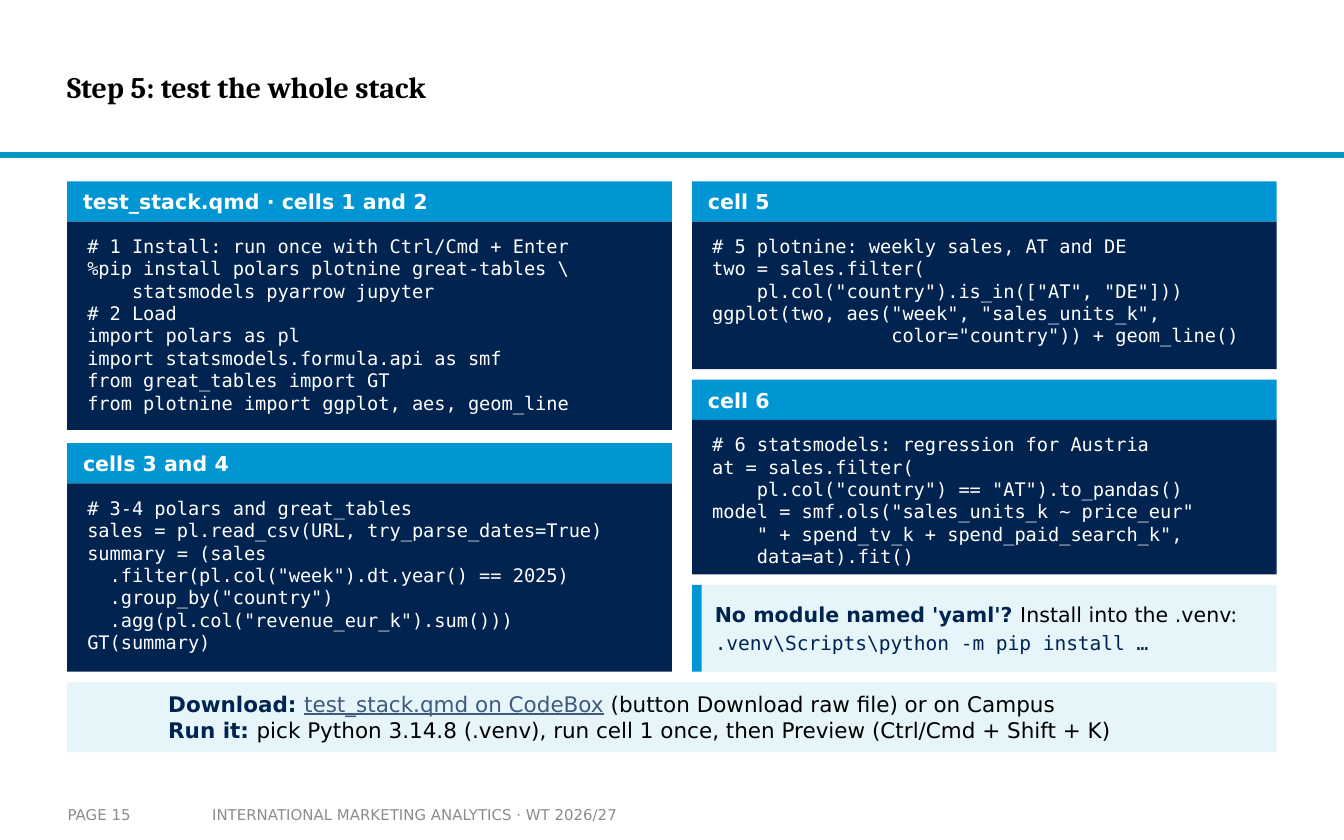
from pptx import Presentation
from pptx.dml.color import RGBColor
from pptx.enum.shapes import MSO_SHAPE as Preset
from pptx.enum.text import MSO_ANCHOR as Anchor
from pptx.util import Cm, Pt

BLACK = RGBColor(0x00, 0x00, 0x00)
WHITE = RGBColor(0xFF, 0xFF, 0xFF)
GRAY = RGBColor(0x8C, 0x8C, 0x8C)
BLUE = RGBColor(0x00, 0x96, 0xD3)
TEAL = RGBColor(0x0C, 0x94, 0xB7)
NAVY = RGBColor(0x00, 0x23, 0x50)
PALE = RGBColor(0xE5, 0xF5, 0xFA)
LINK = RGBColor(0x40, 0x5A, 0x7C)
SERIF, SANS, MONO = "Cambria", "DejaVu Sans", "DejaVu Sans Mono"

# Content: each panel is (heading, body height in cm, code)
TITLE = "Step 5: test the whole stack"
PAGE = "PAGE 15"
COURSE = "INTERNATIONAL MARKETING ANALYTICS · WT 2026/27"

LEFT_PANELS = [
    ("test_stack.qmd · cells 1 and 2", 3.94, r"""# 1 Install: run once with Ctrl/Cmd + Enter
%pip install polars plotnine great-tables \
    statsmodels pyarrow jupyter
# 2 Load
import polars as pl
import statsmodels.formula.api as smf
from great_tables import GT
from plotnine import ggplot, aes, geom_line"""),
    ("cells 3 and 4", 3.56, """# 3-4 polars and great_tables
sales = pl.read_csv(URL, try_parse_dates=True)
summary = (sales
  .filter(pl.col("week").dt.year() == 2025)
  .group_by("country")
  .agg(pl.col("revenue_eur_k").sum()))
GT(summary)"""),
]
RIGHT_PANELS = [
    ("cell 5", 2.79, """# 5 plotnine: weekly sales, AT and DE
two = sales.filter(
    pl.col("country").is_in(["AT", "DE"]))
ggplot(two, aes("week", "sales_units_k",
                color="country")) + geom_line()"""),
    ("cell 6", 2.92, """# 6 statsmodels: regression for Austria
at = sales.filter(
    pl.col("country") == "AT").to_pandas()
model = smf.ols("sales_units_k ~ price_eur"
    " + spend_tv_k + spend_paid_search_k",
    data=at).fit()"""),
]

# Styles: (font, size, colour, bold, underline)
CODE = (MONO, 10, WHITE, False, False)
HEADING = (SANS, 11, WHITE, True, False)
FOOTER = (SANS, 8, GRAY, False, False)
KEY = (SANS, 11.5, NAVY, True, False)
PLAIN = (SANS, 11.5, BLACK, False, False)

# Rich text: paragraphs of (text, style) runs
TIP = [
    [("No module named 'yaml'? ", (SANS, 11, NAVY, True, False)),
     ("Install into the .venv:", (SANS, 11, BLACK, False, False))],
    [(r".venv\Scripts\python -m pip install …", (MONO, 10.5, NAVY, False, False))],
]
STEPS = [
    [("Download: ", KEY),
     ("test_stack.qmd on CodeBox", (SANS, 11.5, LINK, False, True)),
     (" (button Download raw file) or on Campus", PLAIN)],
    [("Run it: ", KEY),
     ("pick Python 3.14.8 (.venv), run cell 1 once, "
      "then Preview (Ctrl/Cmd + Shift + K)", PLAIN)],
]

# Layout in cm
SLIDE_WIDTH, SLIDE_HEIGHT = 25.4, 15.88
MARGIN, TOP = 1.27, 3.43
HEAD_HEIGHT, HEAD_INSET = 0.76, 0.3
CODE_INSET, CODE_PAD = 0.38, 0.25
LEFT_WIDTH, RIGHT_LEFT, RIGHT_WIDTH = 11.43, 13.08, 11.05
LEFT_GAP, RIGHT_GAP = 0.25, 0.2
COLUMNS_BOTTOM = 12.7
LINE_HEIGHT = 1.2

presentation = Presentation()
presentation.slide_width = Cm(SLIDE_WIDTH)
presentation.slide_height = Cm(SLIDE_HEIGHT)
slide = presentation.slides.add_slide(presentation.slide_layouts[6])


def add_block(left, top, width, height, color):
    shape = slide.shapes.add_shape(
        Preset.RECTANGLE, Cm(left), Cm(top), Cm(width), Cm(height))
    shape.shadow.inherit = False
    shape.fill.solid()
    shape.fill.fore_color.rgb = color
    shape.line.fill.background()
    return shape


def add_text(left, top, width, height, paragraphs, anchor=Anchor.MIDDLE, after=0):
    box = slide.shapes.add_textbox(Cm(left), Cm(top), Cm(width), Cm(height))
    frame = box.text_frame
    frame.word_wrap = True
    frame.vertical_anchor = anchor
    frame.margin_left = frame.margin_right = 0
    frame.margin_top = frame.margin_bottom = 0
    frame.text = "\n".join("" for _ in paragraphs)
    for paragraph, runs in zip(frame.paragraphs, paragraphs):
        paragraph.space_after = Pt(after)
        paragraph.line_spacing = Pt(round(runs[0][1][1] * LINE_HEIGHT, 1))
        for text, (name, size, color, bold, underline) in runs:
            run = paragraph.add_run()
            run.text = text
            font = run.font
            font.name, font.size = name, Pt(size)
            font.bold, font.underline = bold, underline
            font.color.rgb = color


def add_panels(panels, left, width, gap):
    """Stack the panels of one column and return the next free top."""
    top = TOP
    for heading, height, code in panels:
        add_block(left, top, width, HEAD_HEIGHT, BLUE)
        add_text(left + HEAD_INSET, top, width - 2 * HEAD_INSET, HEAD_HEIGHT,
                 [[(heading, HEADING)]], after=4)
        body = top + HEAD_HEIGHT
        add_block(left, body, width, height, NAVY)
        add_text(left + CODE_INSET, body + CODE_PAD,
                 width - 2 * CODE_INSET, height - 2 * CODE_PAD,
                 [[(line, CODE)] for line in code.split("\n")], Anchor.TOP)
        top = body + height + gap
    return top


# Title and rule
rule = add_block(0, 2.9, SLIDE_WIDTH, 0.08, TEAL)
rule.line.color.rgb = BLUE
rule.line.width = Pt(1)
add_text(MARGIN, 0.38, 19, 2.51, [[(TITLE, (SERIF, 16, BLACK, True, False))]])

# Code columns
add_panels(LEFT_PANELS, MARGIN, LEFT_WIDTH, LEFT_GAP)
tip_top = add_panels(RIGHT_PANELS, RIGHT_LEFT, RIGHT_WIDTH, RIGHT_GAP)

# Tip under the right column
tip_height = COLUMNS_BOTTOM - tip_top
add_block(RIGHT_LEFT, tip_top, RIGHT_WIDTH, tip_height, PALE)
add_block(RIGHT_LEFT, tip_top, 0.18, tip_height, BLUE)
add_text(RIGHT_LEFT + 0.43, tip_top, 10.49, tip_height, TIP, after=2)

# Steps across both columns
steps_top = COLUMNS_BOTTOM + RIGHT_GAP
add_block(MARGIN, steps_top, SLIDE_WIDTH - 2 * MARGIN, 1.32, PALE)
add_text(3.18, steps_top, 20.7, 1.32, STEPS)

# Footer
for left, width, text in [(1.28, 2.5, PAGE), (4.01, 8.6, COURSE)]:
    add_text(left, 15.04, width, 0.71, [[(text, FOOTER)]])

presentation.save("out.pptx")
